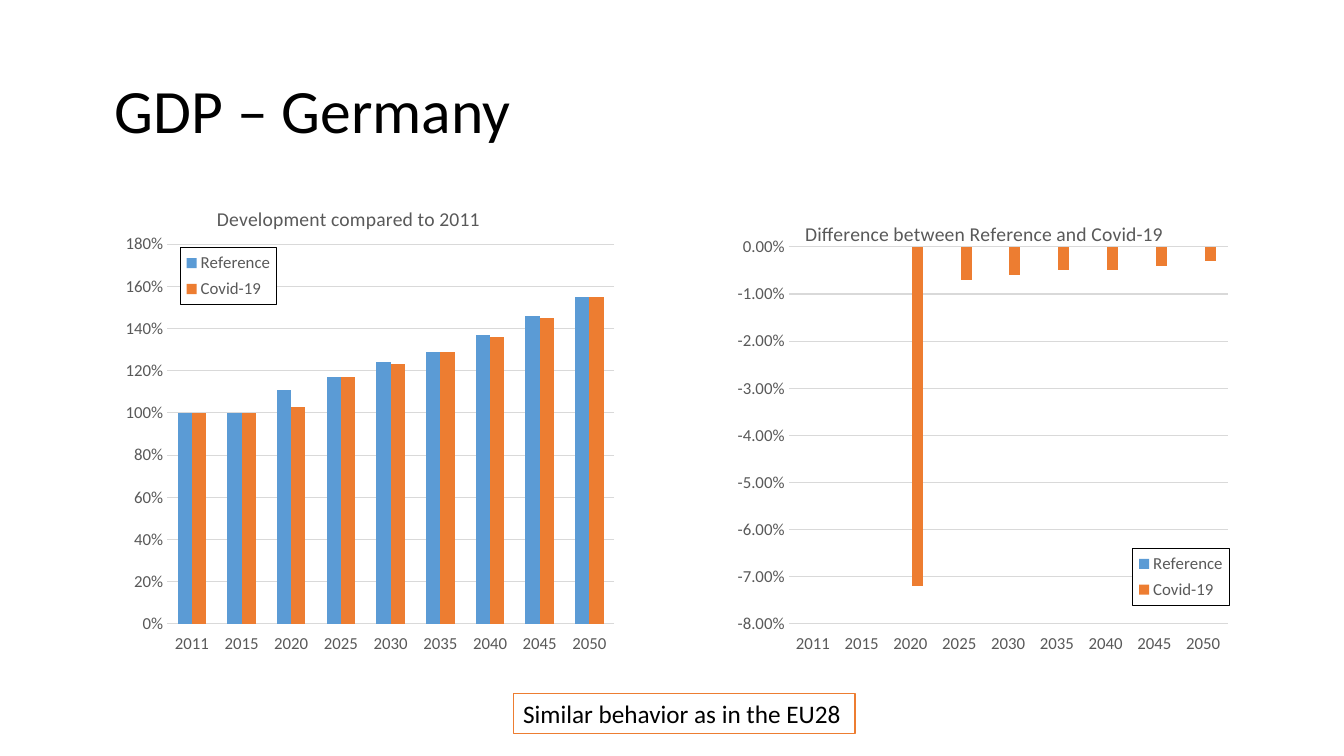
from lxml.etree import SubElement
from pptx import Presentation
from pptx.chart.data import CategoryChartData
from pptx.dml.color import RGBColor
from pptx.enum.chart import XL_CHART_TYPE, XL_LEGEND_POSITION, XL_TICK_LABEL_POSITION, XL_TICK_MARK
from pptx.enum.shapes import MSO_SHAPE
from pptx.enum.text import MSO_ANCHOR, MSO_AUTO_SIZE, PP_ALIGN
from pptx.oxml.ns import qn
from pptx.util import Inches, Pt

HUES = {"ink": "000000", "gray": "595959", "grid": "D9D9D9", "paper": "FFFFFF",
        "Reference": "5B9BD5", "Covid-19": "ED7D31"}
HUES = {name: RGBColor.from_string(code) for name, code in HUES.items()}


def style(font, size, hue):
    for key, val in {"name": "Calibri", "size": Pt(size), "bold": False}.items():
        setattr(font, key, val)
    font.color.rgb = HUES[hue]


def place(node, spot, box, inner=False):
    for old in node.findall(qn("c:layout")):
        node.remove(old)
    layout = SubElement(node, qn("c:layout"))
    node.insert(spot, layout)
    manual = SubElement(layout, qn("c:manualLayout"))
    marks = {"layoutTarget": "inner"} if inner else {}
    marks.update(xMode="edge", yMode="edge")
    marks.update(zip("xywh", box))
    for tag, val in marks.items():
        SubElement(manual, qn(f"c:{tag}")).set("val", str(val))


deck = Presentation()
deck.slide_width, deck.slide_height = Inches(13.33), Inches(7.5)
slide = deck.slides.add_slide(deck.slide_layouts[6])

head = slide.shapes.add_textbox(Inches(1.04), Inches(0.4), Inches(11.5), Inches(1.45)).text_frame
head.word_wrap = True
head.vertical_anchor = MSO_ANCHOR.MIDDLE
head.text = "GDP – Germany"
head.paragraphs[0].line_spacing = 0.9
style(head.paragraphs[0].runs[0].font, 44, "ink")

years = ["2011", *(str(year) for year in range(2015, 2051, 5))]
charts = [
    {"title": "Development compared to 2011", "left": 1.04, "width": 5.41,
     "rows": {"Reference": [1, 1, 1.11, 1.17, 1.24, 1.29, 1.37, 1.46, 1.55],
              "Covid-19": [1, 1, 1.03, 1.17, 1.23, 1.29, 1.36, 1.45, 1.55]},
     "form": "0%", "scale": (0, 1.8, 0.2), "bars": (150, 0),
     "plot": (0.114, 0.092, 0.82, 0.821), "key": (0.138, 0.099, 0.177, 0.124),
     "head": (0.199, 0)},
    {"title": "Difference between Reference and Covid-19", "left": 7.11, "width": 5.31,
     "rows": {"Reference": [None] * 9,
              "Covid-19": [0, 0, -0.072, -0.007, -0.006, -0.005, -0.005, -0.004, -0.003]},
     "form": "0.00%", "scale": (-0.08, 0, 0.01), "bars": (219, -27),
     "plot": (0.134, 0.098, 0.82, 0.815), "key": (0.776, 0.749, 0.182, 0.124),
     "head": (0.158, 0.032)},
]

for item in charts:
    data = CategoryChartData(number_format=item["form"])
    data.categories = years
    for name, vals in item["rows"].items():
        data.add_series(name, vals)
    chart = slide.shapes.add_chart(XL_CHART_TYPE.COLUMN_CLUSTERED, Inches(item["left"]), Inches(2),
                                   Inches(item["width"]), Inches(4.59), data).chart
    style(chart.font, 12, "ink")

    chart.has_title = True
    title = chart.chart_title
    title.text_frame.text = item["title"]
    style(title.text_frame.paragraphs[0].runs[0].font, 14, "gray")
    title.include_in_layout = False
    place(title._element, 1, item["head"])

    chart.has_legend = True
    key = chart.legend
    key.position = XL_LEGEND_POSITION.RIGHT
    key.include_in_layout = False
    style(key.font, 12, "gray")
    place(key._element, 1, item["key"])
    frame = SubElement(key._element, qn("c:spPr"))
    key._element.find(qn("c:txPr")).addprevious(frame)
    for tag, hue in {"fill": "paper", "line": "ink"}.items():
        base = frame if tag == "fill" else SubElement(frame, qn("a:ln"), w=str(Pt(0.75)))
        SubElement(SubElement(base, qn("a:solidFill")), qn("a:srgbClr"), val=str(HUES[hue]))

    plot = chart.plots[0]
    plot.vary_by_categories = False
    plot.gap_width, plot.overlap = item["bars"]
    place(plot._element.getparent(), 0, item["plot"], True)
    for row in plot.series:
        row.format.fill.solid()
        row.format.fill.fore_color.rgb = HUES[row.name]
        row.invert_if_negative = False

    across, up = chart.category_axis, chart.value_axis
    for axis in (across, up):
        axis.major_tick_mark = axis.minor_tick_mark = XL_TICK_MARK.NONE
        style(axis.tick_labels.font, 12, "gray")
    across.tick_label_position = XL_TICK_LABEL_POSITION.LOW
    up.minimum_scale, up.maximum_scale, up.major_unit = item["scale"]
    up.tick_labels.number_format = item["form"]
    up.tick_labels.number_format_is_linked = False
    up.format.line.fill.background()
    for line in (across.format.line, up.major_gridlines.format.line):
        line.width = Pt(0.75)
        line.color.rgb = HUES["grid"]

note = slide.shapes.add_shape(MSO_SHAPE.RECTANGLE, Inches(5.09), Inches(6.88), Inches(3.39), Inches(0.4))
note.shadow.inherit = False
note.fill.solid()
note.fill.fore_color.rgb = HUES["paper"]
note.line.color.rgb = HUES["Covid-19"]
note.line.width = Pt(1)
body = note.text_frame
body.text = "Similar behavior as in the EU28"
for name, val in {"word_wrap": False, "auto_size": MSO_AUTO_SIZE.SHAPE_TO_FIT_TEXT,
                  "vertical_anchor": MSO_ANCHOR.TOP}.items():
    setattr(body, name, val)
body.paragraphs[0].alignment = PP_ALIGN.LEFT
style(body.paragraphs[0].runs[0].font, 18, "ink")

deck.save("out.pptx")
